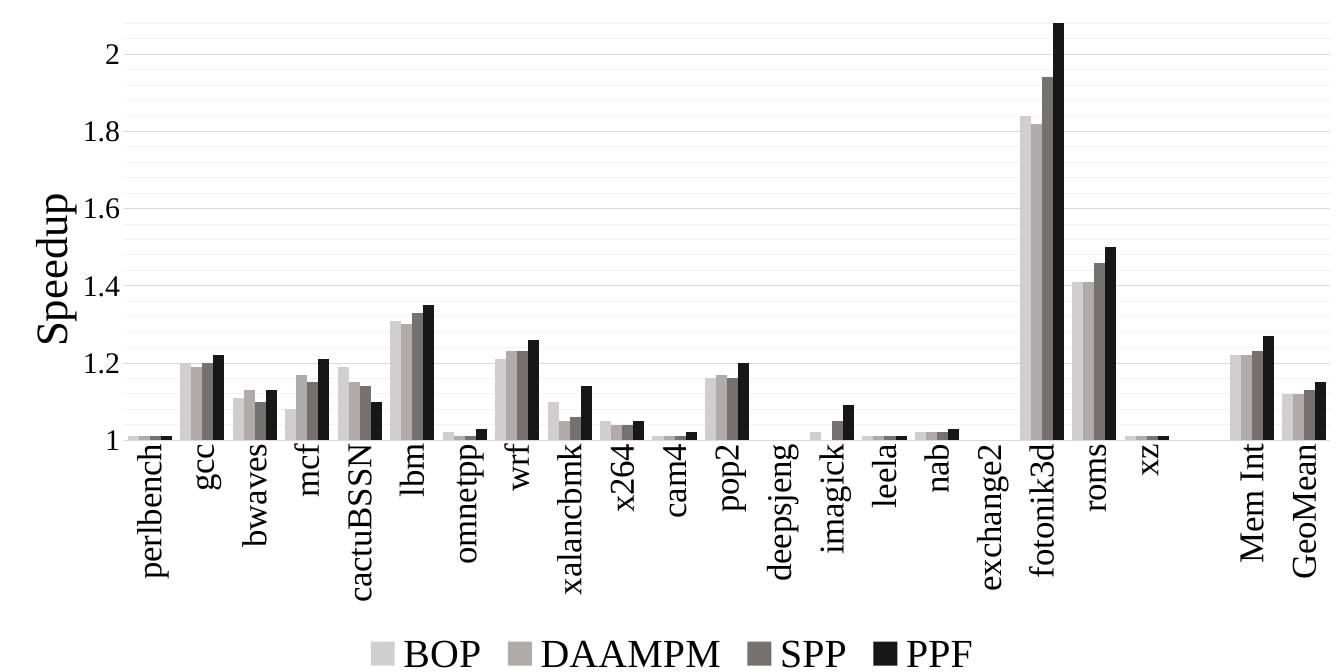
from dataclasses import dataclass
from typing import Optional

from lxml import etree
from pptx import Presentation
from pptx.chart.data import CategoryChartData
from pptx.dml.color import RGBColor
from pptx.enum.chart import XL_CHART_TYPE as ChartType
from pptx.enum.chart import XL_LEGEND_POSITION as LegendPos
from pptx.enum.chart import XL_TICK_MARK as Tick
from pptx.oxml.ns import qn
from pptx.util import Inches, Pt

BLACK = RGBColor(0x00, 0x00, 0x00)
GRID = RGBColor(0xD9, 0xD9, 0xD9)
MINOR_GRID = RGBColor(0xF2, 0xF2, 0xF2)
SERIF = "Times New Roman"


@dataclass
class Prefetcher:
    name: str
    color: RGBColor
    speedups: list[Optional[float]]


BENCHMARKS = [
    "perlbench", "gcc", "bwaves", "mcf", "cactuBSSN", "lbm", "omnetpp", "wrf",
    "xalancbmk", "x264", "cam4", "pop2", "deepsjeng", "imagick", "leela", "nab",
    "exchange2", "fotonik3d", "roms", "xz", "", "Mem Int", "GeoMean",
]
PREFETCHERS = [
    Prefetcher("BOP", RGBColor(0xD0, 0xCE, 0xCE), [
        1.01, 1.2, 1.11, 1.08, 1.19, 1.31, 1.02, 1.21, 1.1, 1.05, 1.01, 1.16,
        1, 1.02, 1.01, 1.02, 1, 1.84, 1.41, 1.01, None, 1.22, 1.12]),
    Prefetcher("DAAMPM", RGBColor(0xAF, 0xAB, 0xAB), [
        1.01, 1.19, 1.13, 1.17, 1.15, 1.3, 1.01, 1.23, 1.05, 1.04, 1.01, 1.17,
        1, 1, 1.01, 1.02, 1, 1.82, 1.41, 1.01, None, 1.22, 1.12]),
    Prefetcher("SPP", RGBColor(0x76, 0x71, 0x71), [
        1.01, 1.2, 1.1, 1.15, 1.14, 1.33, 1.01, 1.23, 1.06, 1.04, 1.01, 1.16,
        1, 1.05, 1.01, 1.02, 1, 1.94, 1.46, 1.01, None, 1.23, 1.13]),
    Prefetcher("PPF", RGBColor(0x18, 0x17, 0x17), [
        1.01, 1.22, 1.13, 1.21, 1.1, 1.35, 1.03, 1.26, 1.14, 1.05, 1.02, 1.2,
        1, 1.09, 1.01, 1.03, 1, 2.08, 1.5, 1.01, None, 1.27, 1.15]),
]


def set_font(font, size: float, name: str = SERIF) -> None:
    font.size = Pt(size)
    font.name = name
    font.bold = False
    font.color.rgb = BLACK


def set_line(line, color: RGBColor) -> None:
    line.color.rgb = color
    line.width = Pt(0.75)


def set_layout(parent, index: int, **fields) -> None:
    """Place a chart part by fractions of the chart area."""
    for old in parent.findall(qn("c:layout")):
        parent.remove(old)
    layout = etree.Element(qn("c:layout"))
    manual = etree.SubElement(layout, qn("c:manualLayout"))
    for tag, value in fields.items():
        etree.SubElement(manual, qn(f"c:{tag}")).set("val", str(value))
    parent.insert(index, layout)


prs = Presentation()
prs.slide_width, prs.slide_height = Inches(15), Inches(7.5)
s = prs.slides.add_slide(prs.slide_layouts[6])

# Chart with one series per prefetcher
data = CategoryChartData(number_format="General")
data.categories = BENCHMARKS
for pf in PREFETCHERS:
    data.add_series(pf.name, pf.speedups)
chart = s.shapes.add_chart(ChartType.COLUMN_CLUSTERED, 0, 0,
                           Inches(15), Inches(7.63), data).chart
chart.has_title = False
set_font(chart.font, 10, "Calibri")

# Bars
plot = chart.plots[0]
set_layout(plot._element.getparent(), 0, layoutTarget="inner",
           xMode="edge", yMode="edge", x=0.092, y=0.023, w=0.898, h=0.621)
plot.gap_width, plot.overlap = 75, 0
plot.vary_by_categories = False
for ser, pf in zip(plot.series, PREFETCHERS):
    ser.format.fill.solid()
    ser.format.fill.fore_color.rgb = pf.color
    ser.invert_if_negative = False

# Axes
cat, val = chart.category_axis, chart.value_axis
for axis, size in ((cat, 28), (val, 24)):
    axis.major_tick_mark = axis.minor_tick_mark = Tick.NONE
    set_font(axis.tick_labels.font, size)
set_line(cat.format.line, GRID)
cat._element.find(qn("c:txPr")).find(qn("a:bodyPr")).set("rot", "-5400000")
val.minimum_scale, val.maximum_scale = 1, 2.1
val.major_unit, val.minor_unit = 0.2, 0.04
val.has_major_gridlines = val.has_minor_gridlines = True
set_line(val.major_gridlines.format.line, GRID)
val.format.line.fill.background()

# Minor gridlines have no format object, so their line is XML
sp_pr = etree.SubElement(val._element.find(qn("c:minorGridlines")), qn("c:spPr"))
ln = etree.SubElement(sp_pr, qn("a:ln"), w=str(Pt(0.75)))
fill = etree.SubElement(ln, qn("a:solidFill"))
etree.SubElement(fill, qn("a:srgbClr"), val=str(MINOR_GRID))

# Value axis title
title = val.axis_title
tf = title.text_frame
tf._txBody.find(qn("a:bodyPr")).set("rot", "-5400000")
r = tf.paragraphs[0].add_run()
r.text = "Speedup"
set_font(r.font, 36)
set_layout(title._element, 1, xMode="edge", yMode="edge", x=0.01, y=0.27)

# Legend
chart.has_legend = True
chart.legend.position = LegendPos.BOTTOM
chart.legend.include_in_layout = False
set_font(chart.legend.font, 32)

prs.save("out.pptx")
